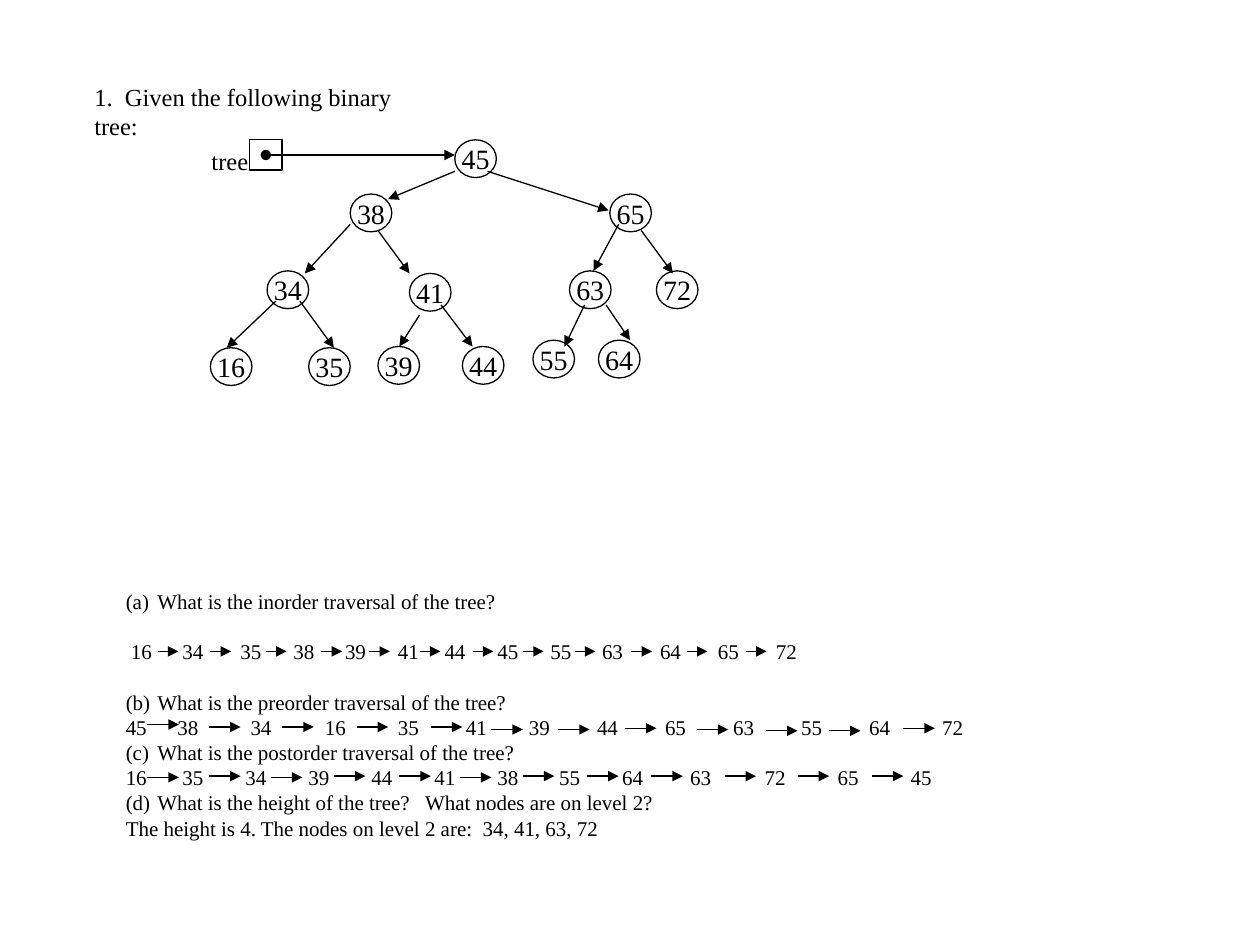
from lxml.etree import SubElement
from pptx import Presentation
from pptx.dml.color import RGBColor
from pptx.enum.shapes import MSO_CONNECTOR, MSO_SHAPE
from pptx.enum.text import MSO_ANCHOR, PP_ALIGN
from pptx.oxml.ns import qn
from pptx.util import Inches, Pt

COLUMNS, ROWS = 100, 75
NODE_WIDTH, NODE_HEIGHT = 3.3, 3

# Value: left column, top row
NODES = {
    "45": (36.1, 11.1),
    "38": (27.8, 15.4), "65": (48.4, 15.4),
    "34": (21.2, 21.5), "41": (32.5, 21.7), "63": (45.2, 21.5), "72": (52.1, 21.5),
    "16": (16.7, 27.6), "35": (24.5, 27.6), "39": (30, 27.5), "44": (36.7, 27.5),
    "55": (42.3, 27), "64": (47.5, 27),
}

# Start column and row, end column and row
EDGES = [
    (36.1, 13.6, 30.8, 15.8), (38.7, 13.6, 48.3, 16.7),
    (27.8, 17.8, 24.2, 21.7), (30, 18.3, 32.5, 21.7),
    (49.1, 17.8, 47.1, 21.5), (50.9, 18.3, 53.4, 21.7),
    (21.9, 23.9, 18, 27.6), (23.8, 23.9, 26.5, 27.6),
    (33.3, 25, 31.7, 27.5), (35, 24.2, 37.5, 27.5),
    (46.4, 24.2, 44.8, 27.5), (48.1, 24.2, 50, 27),
]

INORDER = "\t16\t34\t35\t38\t39\t41\t44\t45\t55\t63\t64\t65\t72"
PREORDER = "45\t38\t34\t16\t35\t41\t39\t44\t65\t63\t55\t64\t72"
POSTORDER = "16\t35\t34\t39\t44\t41\t38\t55\t64\t63\t72\t65\t45"
INORDER_STOPS = [0.4, 4.5, 9.1, 13.3, 17.4, 21.6, 25.3, 29.5, 33.7, 37.8, 42.4, 47, 51.6]
PREORDER_STOPS = [4.1, 9.9, 15.8, 21.6, 27, 32, 37.4, 42.8, 48.2, 53.6, 59, 64.8]
POSTORDER_STOPS = [4.5, 9.5, 14.5, 19.5, 24.5, 29.5, 34.4, 39.4, 44.8, 50.7, 56.5, 62.3]

# Text and the options of its paragraph
ANSWERS = [
    ("What is the inorder traversal of the tree?", {"number": 1}),
    (INORDER, {"stops": INORDER_STOPS, "lines_before": 1}),
    ("What is the preorder traversal of the tree?", {"number": 2, "lines_before": 1}),
    (PREORDER, {"stops": PREORDER_STOPS}),
    ("What is the postorder traversal of the tree?", {"number": 3}),
    (POSTORDER, {"stops": POSTORDER_STOPS}),
    ("What is the height of the tree?   What nodes are on level 2?", {"number": 4}),
    ("The height is 4. The nodes on level 2 are:  34, 41, 63, 72", {}),
]

# Arrow length, start columns, rows
TRAVERSAL_ARROWS = [
    (1.65, [12.5, 16.7, 21.1, 25.5, 29.3, 33.3, 37.5, 41.5, 45.6, 50.1, 54.5, 59.2],
     [51.7] * 12),
    (2.5, [11.7, 16.6, 22.4, 28.3, 34.2, 39, 44.3, 49.6, 55.3, 60.8, 65.8, 71.7],
     [57.5] + [57.7] * 4 + [57.9, 57.9, 57.8, 57.9, 58, 58, 57.8]),
    (2.5, [11.7, 16.6, 21.5, 26.5, 31.7, 36.5, 41.5, 46.6, 51.7, 57.5, 63.3, 69.2],
     [61.7, 61.6, 61.7, 61.6, 61.6, 61.7] + [61.6] * 6),
]


def color(value):
    return RGBColor.from_string(value)


class Sheet:
    """Style and current page; lengths are columns and rows of the grid."""

    font = "Times New Roman"
    ink = "000000"
    line_width = 0.75
    line_height = 1.2

    def __init__(self, deck):
        self.deck = deck
        self.page = deck.slides.add_slide(deck.slide_layouts[6])
        self.shapes = self.page.shapes

    def across(self, columns):
        return round(self.deck.slide_width * columns / COLUMNS)

    def down(self, rows):
        return round(self.deck.slide_height * rows / ROWS)

    def frame(self, left, top, width, height):
        return self.across(left), self.down(top), self.across(width), self.down(height)

    def start_group(self):
        """Send the elements that follow into a new group."""
        self.shapes = self.page.shapes.add_group_shape().shapes

    def end_group(self):
        self.shapes = self.page.shapes

    def set_font(self, para, size):
        para.font.name = self.font
        para.font.size = Pt(size)
        para.font.color.rgb = color(self.ink)

    def outline(self, line):
        line.color.rgb = color(self.ink)
        line.width = Pt(self.line_width)

    def text(self, left, top, width, height, paragraphs, size, wrap=True):
        box = self.shapes.add_textbox(*self.frame(left, top, width, height))
        box.text_frame.word_wrap = wrap
        for index, (words, options) in enumerate(paragraphs):
            para = box.text_frame.paragraphs[0] if index == 0 else box.text_frame.add_paragraph()
            para.text = words
            self.format_paragraph(para, size, **options)

    def format_paragraph(self, para, size, number=None, stops=(), lines_before=0):
        """Set spacing, an optional (a), (b), ... number and tab stops."""
        para.line_spacing = Pt(size * self.line_height)
        para.space_before = Pt(size * self.line_height * lines_before)
        properties = para._p.get_or_add_pPr()
        if number:
            indent = self.across(2.5)
            properties.set("marL", str(indent))
            properties.set("indent", str(-indent))
            SubElement(properties, qn("a:buAutoNum"), type="alphaLcParenBoth", startAt=str(number))
        if stops:
            tabs = SubElement(properties, qn("a:tabLst"))
            for stop in stops:
                SubElement(tabs, qn("a:tab"), pos=str(self.across(stop)), algn="l")
        self.set_font(para, size)

    def outlined_shape(self, kind, left, top, width, height):
        shape = self.shapes.add_shape(kind, *self.frame(left, top, width, height))
        shape.shadow.inherit = False
        shape.fill.background()
        self.outline(shape.line)
        return shape

    def node(self, value, left, top):
        circle = self.outlined_shape(MSO_SHAPE.OVAL, left, top, NODE_WIDTH, NODE_HEIGHT)
        frame = circle.text_frame
        frame.word_wrap = False
        frame.vertical_anchor = MSO_ANCHOR.MIDDLE
        para = frame.paragraphs[0]
        para.text = value
        para.alignment = PP_ALIGN.CENTER
        self.set_font(para, 16)

    def arrow(self, start_column, start_row, end_column, end_row, dot=False):
        """Draw an arrow, with a round dot at its start if asked."""
        connector = self.shapes.add_connector(
            MSO_CONNECTOR.STRAIGHT,
            self.across(start_column), self.down(start_row),
            self.across(end_column), self.down(end_row))
        self.outline(connector.line)
        line = connector.line._get_or_add_ln()
        if dot:
            SubElement(line, qn("a:headEnd"), type="oval")
        SubElement(line, qn("a:tailEnd"), type="triangle")
        SubElement(connector._element.spPr, qn("a:effectLst"))


def main():
    deck = Presentation()
    deck.slide_width, deck.slide_height = Inches(10), Inches(7.5)
    sheet = Sheet(deck)

    sheet.text(6.5, 6, 28, 3.3, [("1.  Given the following binary tree:", {})], 14)
    sheet.text(9, 46.2, 69.3, 23.2, ANSWERS, 12)

    sheet.start_group()
    for value, (left, top) in NODES.items():
        sheet.node(value, left, top)
    for edge in EDGES:
        sheet.arrow(*edge)
    sheet.outlined_shape(MSO_SHAPE.RECTANGLE, 19.8, 11.1, 2.6, 2.4)
    sheet.text(15.8, 11.1, 4.9, 3.3, [("tree", {})], 14, wrap=False)
    sheet.arrow(21.1, 12.3, 36.1, 12.3, dot=True)
    sheet.end_group()

    for length, columns, rows in TRAVERSAL_ARROWS:
        for column, row in zip(columns, rows):
            sheet.arrow(column, row, column + length, row)

    deck.save("out.pptx")


if __name__ == "__main__":
    main()
